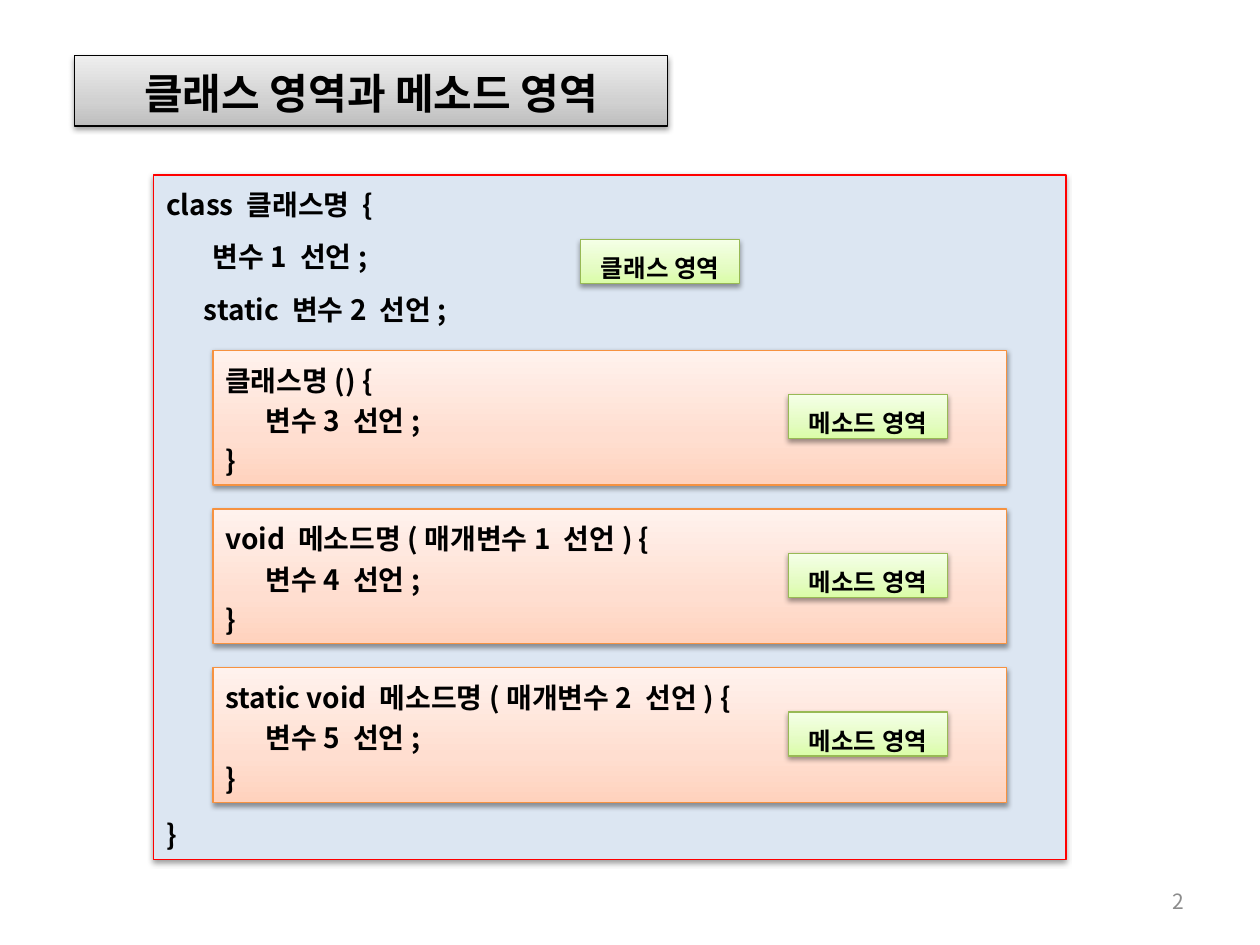
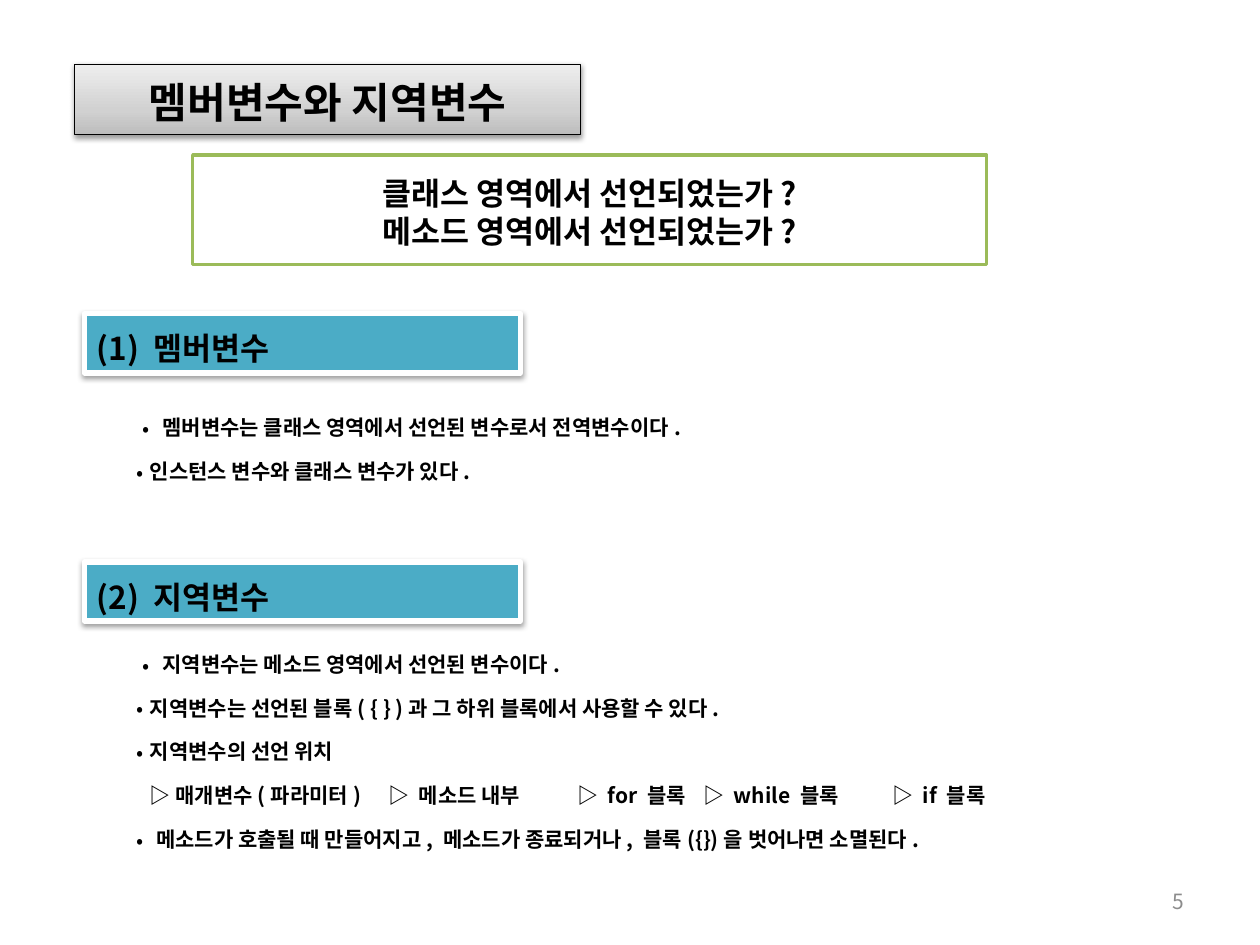
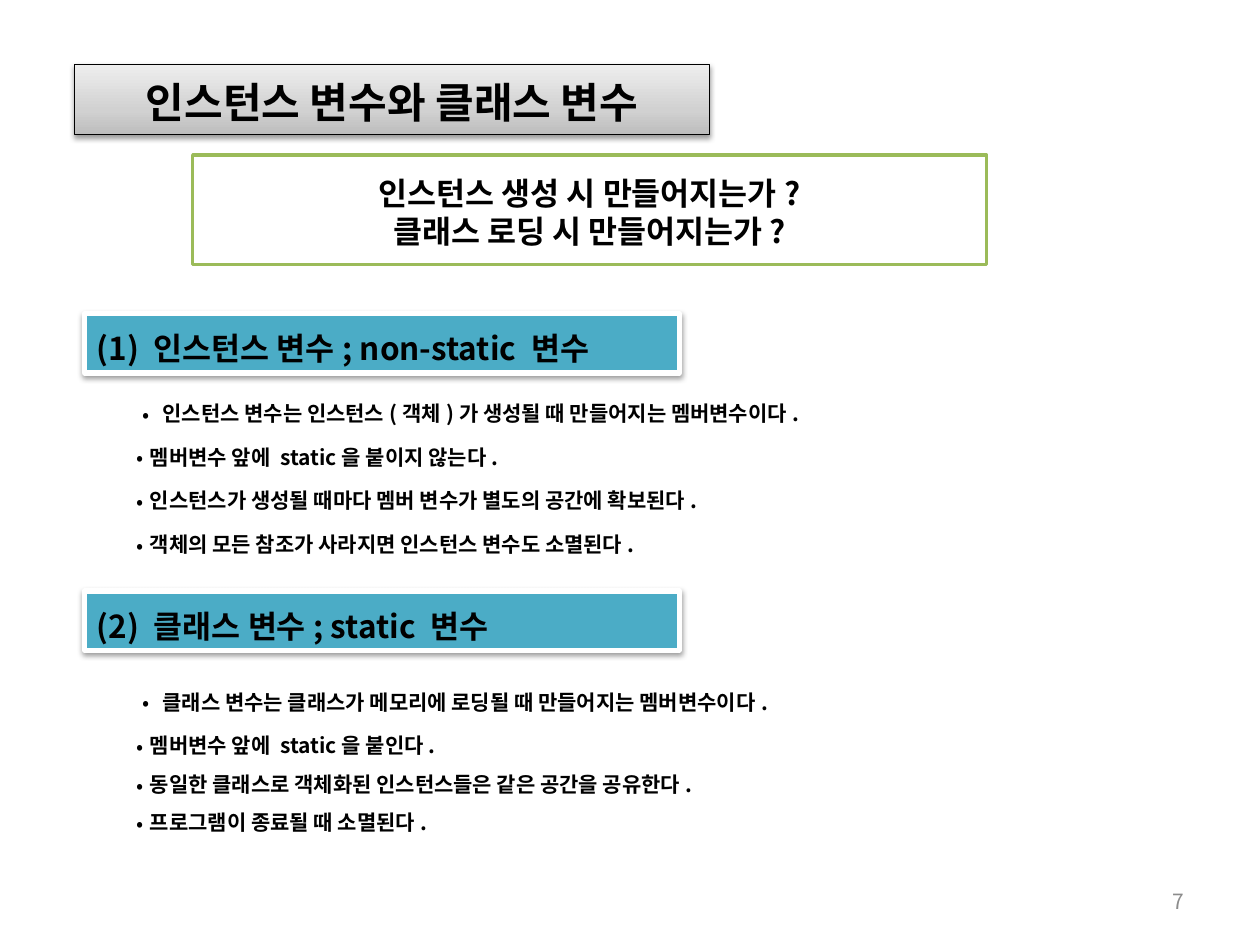
from lxml.etree import SubElement
from pptx import Presentation
from pptx.dml.color import RGBColor
from pptx.enum.shapes import MSO_SHAPE
from pptx.enum.text import MSO_ANCHOR, MSO_AUTO_SIZE, PP_ALIGN
from pptx.oxml.ns import qn
from pptx.util import Inches, Pt

FONT = "Noto Sans CJK KR"
COLORS = {
    "text": "000000", "number": "8C8C8C", "white": "FFFFFF",
    "class": "DCE6F2", "class line": "FF0000",
    "heading": "4BACC6", "green line": "9BBB59",
    "label line": "98B955", "method line": "F69240",
}
# Colours at 0, 35 and 100 percent, from bottom to top
GRADIENTS = {
    "title": ("BDBDBD", "D1D1D1", "EEEEEE"),
    "label": ("DAFDA7", "E4FCC2", "F5FFE7"),
    "method": ("FFD2BD", "FFDED0", "FFF2ED"),
}
TITLE_ONLY, TWO_CONTENT = 5, 3


class SlideBuilder:
    """Holds the shared style and the slide being filled."""

    def __init__(self, deck):
        self.deck = deck
        self.page = None

    # Pages
    def start(self, layout, title, top, width, number):
        self.page = self.deck.slides.add_slide(self.deck.slide_layouts[layout])
        box = self.page.shapes.title
        self.place(box, 0.59, top, width, 0.56)
        self.paint(box, "title", "text", 0.75)
        self.frame(box)
        self.add_text(box, title, 24, align=PP_ALIGN.CENTER)
        box = self.page.shapes.add_textbox(
            Inches(7.17), Inches(6.95), Inches(2.33), Inches(0.4))
        self.frame(box, upper=0.05)
        self.add_text(box, str(number), 12, align=PP_ALIGN.RIGHT,
                      color="number", bold=False)

    # Styling
    def place(self, box, left, top, width, height):
        box.left, box.top = Inches(left), Inches(top)
        box.width, box.height = Inches(width), Inches(height)

    def paint(self, box, fill, line, line_width, shadow=True):
        if fill in GRADIENTS:
            box.fill.gradient()
            box.fill.gradient_angle = 90
            stops = box.element.find(".//" + qn("a:gsLst"))
            for stop in list(stops):
                stops.remove(stop)
            for position, color in zip((0, 35, 100), GRADIENTS[fill]):
                stop = SubElement(stops, qn("a:gs"), pos=str(position * 1000))
                SubElement(stop, qn("a:srgbClr"), val=color)
        else:
            box.fill.solid()
            box.fill.fore_color.rgb = RGBColor.from_string(COLORS[fill])
        box.line.color.rgb = RGBColor.from_string(COLORS[line])
        box.line.width = Pt(line_width)
        box.shadow.inherit = False
        if shadow:
            effects = box.element.find(".//" + qn("a:effectLst"))
            outer = SubElement(
                effects, qn("a:outerShdw"), blurRad=str(Pt(3.1)),
                dist=str(Pt(1.6)), dir="5400000", rotWithShape="0")
            color = SubElement(outer, qn("a:srgbClr"), val=COLORS["text"])
            SubElement(color, qn("a:alpha"), val="38000")

    def frame(self, box, side=0.1, upper=0.08, anchor=MSO_ANCHOR.MIDDLE):
        frame = box.text_frame
        frame.word_wrap = True
        frame.auto_size = MSO_AUTO_SIZE.NONE
        frame.vertical_anchor = anchor
        frame.margin_left = frame.margin_right = Inches(side)
        frame.margin_top, frame.margin_bottom = Inches(upper), Inches(0.05)

    def add_text(self, box, text, size, spacing=None, align=PP_ALIGN.LEFT,
                 margin=0, indent=0, before=0, color="text", bold=True):
        """Fill the empty first paragraph, or add one, and return it."""
        frame = box.text_frame
        para = frame.paragraphs[0] if not frame.text else frame.add_paragraph()
        para.alignment = align
        para.space_before = Pt(before)
        if spacing:
            para.line_spacing = Pt(spacing)
        properties = para._p.get_or_add_pPr()
        properties.set("marL", str(Inches(margin)))
        properties.set("indent", str(Inches(indent)))
        span = para.add_run()
        span.text = text
        span.font.name, span.font.size, span.font.bold = FONT, Pt(size), bold
        span.font.color.rgb = RGBColor.from_string(COLORS[color])
        SubElement(span.font._element, qn("a:ea"), typeface=FONT)
        return para

    # Elements
    def box(self, left, top, width, height, fill, line, line_width=0.75,
            shadow=True, kind=MSO_SHAPE.FLOWCHART_PROCESS, **frame):
        box = self.page.shapes.add_shape(
            kind, Inches(left), Inches(top), Inches(width), Inches(height))
        self.paint(box, fill, line, line_width, shadow)
        self.frame(box, **frame)
        return box

    def label(self, left, top, text):
        box = self.box(left, top, 1.26, 0.35, "label", "label line", side=0.04)
        self.add_text(box, text, 14, 22, PP_ALIGN.CENTER)

    def method(self, top, signature, variable):
        box = self.box(1.69, top, 6.3, 1.07, "method", "method line",
                       kind=MSO_SHAPE.RECTANGLE, upper=0.05,
                       anchor=MSO_ANCHOR.TOP)
        self.add_text(box, signature, 16, 23)
        self.add_text(box, variable, 16, 23, margin=0.32)
        self.add_text(box, "}", 16, 23)
        self.label(6.26, top + 0.35, "메소드 영역")

    def questions(self, *lines):
        box = self.box(1.53, 1.23, 6.3, 0.87, "white", "green line", 2, False)
        for line in lines:
            self.add_text(box, line, 18, 22, PP_ALIGN.CENTER)

    def heading(self, top, width, text):
        box = self.box(0.67, top, width, 0.47, "heading", "white", 3)
        self.add_text(box, text, 18, 25)

    def bullets(self, index, top, height, items):
        """Each item is its text, text margin and line spacing."""
        body = self.page.placeholders[index]
        self.place(body, 0.98, top, 8.03, height)
        self.frame(body)
        for text, margin, spacing in items:
            para = self.add_text(body, text, 12, spacing, margin=margin,
                                 indent=-min(margin, 0.16))
            properties = para._p.get_or_add_pPr()
            SubElement(properties, qn("a:buFont"), typeface=FONT)
            SubElement(properties, qn("a:buChar"), char="•")
        return body

    def places(self, body, position, texts, stops):
        """Insert a row of tabbed entries into a bullet list."""
        para = self.add_text(body, "\t".join("▷ " + text for text in texts),
                             12, 25, indent=0.11)
        properties = para._p.get_or_add_pPr()
        SubElement(properties, qn("a:buNone"))
        tabs = SubElement(properties, qn("a:tabLst"))
        for stop in stops:
            SubElement(tabs, qn("a:tab"), pos=str(Inches(stop)), algn="l")
        body.text_frame.paragraphs[position]._p.addprevious(para._p)


def items(*texts, spacing=25):
    """The first item is set further in than the rest."""
    return [(text, 0.11 if index else 0.21, spacing)
            for index, text in enumerate(texts)]


def class_and_method_areas(builder):
    builder.start(TITLE_ONLY, "클래스 영역과 메소드 영역", 0.44, 4.71, 2)
    box = builder.box(1.22, 1.39, 7.24, 5.43, "class", "class line")
    builder.add_text(box, "class 클래스명 {", 16)
    builder.add_text(box, "변수1 선언;", 16, 30, margin=0.37)
    builder.add_text(box, "static 변수2 선언;", 16, 30, margin=0.3)
    builder.add_text(box, "}", 16, 30, before=270)
    builder.label(4.61, 1.9, "클래스 영역")
    signatures = ("클래스명() {", "void 메소드명(매개변수1 선언) {",
                  "static void 메소드명(매개변수2 선언) {")
    for row, signature in enumerate(signatures):
        builder.method(2.78 + 1.26 * row, signature, f"변수{row + 3} 선언;")


def member_and_local_variables(builder):
    builder.start(TWO_CONTENT, "멤버변수와 지역변수", 0.51, 4.02, 5)
    builder.questions("클래스 영역에서 선언되었는가?", "메소드 영역에서 선언되었는가?")
    builder.heading(2.49, 3.46, "(1) 멤버변수")
    builder.bullets(1, 3.04, 0.87, items(
        "멤버변수는 클래스 영역에서 선언된 변수로서 전역변수이다.",
        "인스턴스 변수와 클래스 변수가 있다."))
    builder.heading(4.46, 3.46, "(2) 지역변수")
    body = builder.bullets(2, 5.01, 1.73, items(
        "지역변수는 메소드 영역에서 선언된 변수이다.",
        "지역변수는 선언된 블록( { } )과 그 하위 블록에서 사용할 수 있다.",
        "지역변수의 선언 위치",
    ) + [("메소드가 호출될 때 만들어지고, 메소드가 종료되거나, 블록({})을 벗어나면 소멸된다.", 0.16, 25)])
    builder.places(
        body, 3,
        ("매개변수(파라미터)", "메소드 내부", "for 블록", "while 블록", "if 블록"),
        (2.17, 3.6, 4.79, 6.21))


def instance_and_class_variables(builder):
    builder.start(TWO_CONTENT, "인스턴스 변수와 클래스 변수", 0.51, 5.04, 7)
    builder.questions("인스턴스 생성 시 만들어지는가?", "클래스 로딩 시 만들어지는가?")
    builder.heading(2.49, 4.72, "(1) 인스턴스 변수; non-static 변수")
    builder.bullets(1, 3.04, 1.34, items(
        "인스턴스 변수는 인스턴스(객체)가 생성될 때 만들어지는 멤버변수이다.",
        "멤버변수 앞에 static을 붙이지 않는다.",
        "인스턴스가 생성될 때마다 멤버 변수가 별도의 공간에 확보된다.",
        "객체의 모든 참조가 사라지면 인스턴스 변수도 소멸된다."))
    builder.heading(4.69, 4.72, "(2) 클래스 변수; static 변수")
    builder.bullets(2, 5.25, 1.42, items(
        "클래스 변수는 클래스가 메모리에 로딩될 때 만들어지는 멤버변수이다.",
        "멤버변수 앞에 static을 붙인다.",
    ) + [
        ("동일한 클래스로 객체화된 인스턴스들은 같은 공간을 공유한다.", 0.11, 22),
        ("프로그램이 종료될 때 소멸된다.", 0.11, 22),
    ])


def main():
    deck = Presentation()
    deck.slide_width, deck.slide_height = Inches(10), Inches(7.5)
    builder = SlideBuilder(deck)
    class_and_method_areas(builder)
    member_and_local_variables(builder)
    instance_and_class_variables(builder)
    deck.save("out.pptx")


if __name__ == "__main__":
    main()
